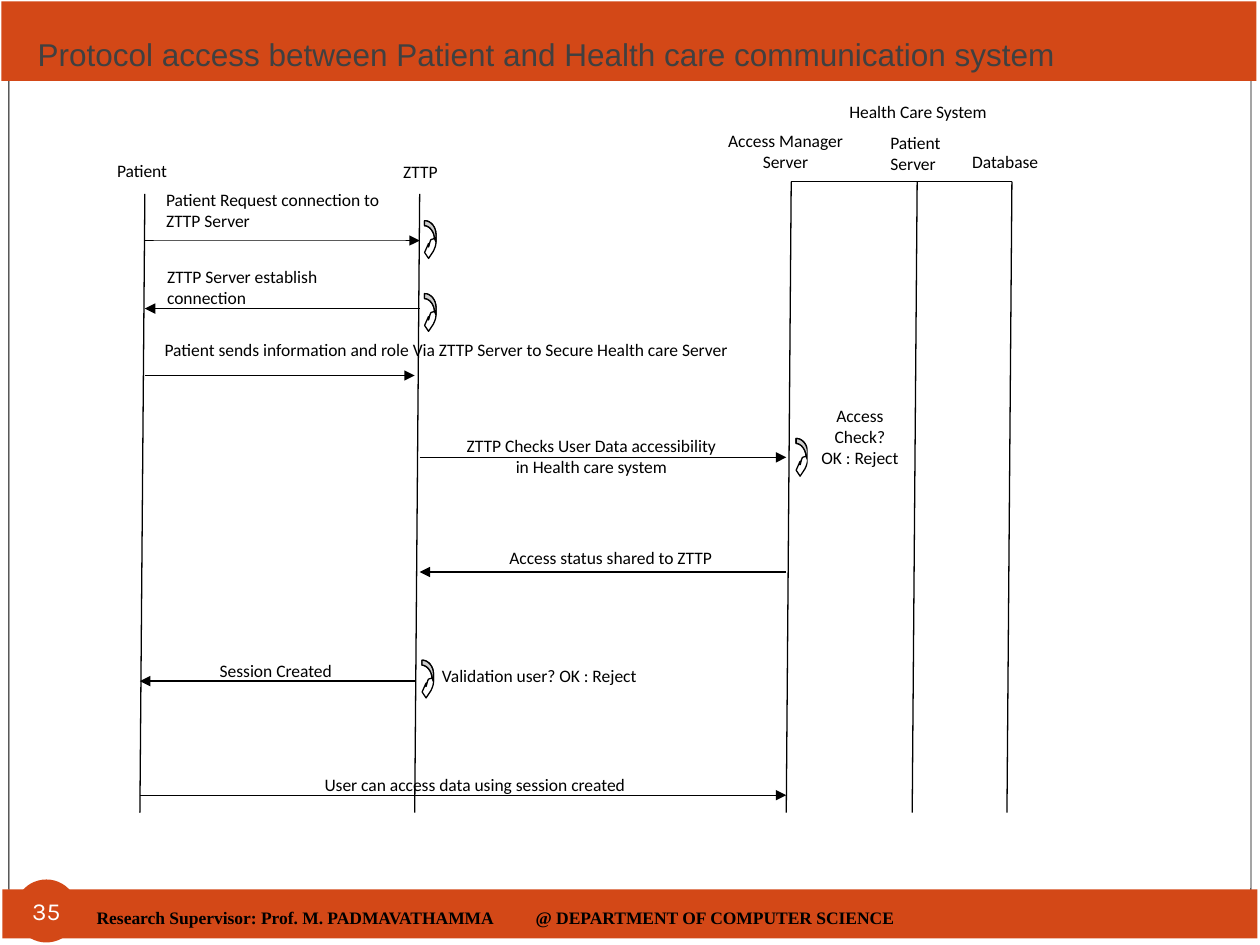
import pptx
import pptx.dml.color
import pptx.enum.shapes
import pptx.enum.text
import pptx.util
from lxml import etree
from pptx.oxml.ns import qn

Cm, Pt = pptx.util.Cm, pptx.util.Pt
RGBColor = pptx.dml.color.RGBColor
SHAPE = pptx.enum.shapes.MSO_SHAPE
ALIGN = pptx.enum.text.PP_ALIGN
ANCHOR = pptx.enum.text.MSO_ANCHOR

ORANGE = RGBColor(0xD3, 0x48, 0x17)
WHITE = RGBColor(0xFF, 0xFF, 0xFF)
BLACK = RGBColor(0x00, 0x00, 0x00)
TITLE_GREY = RGBColor(0x40, 0x40, 0x40)
SHADE_GREY = RGBColor(0xCD, 0xCD, 0xCD)

TITLE = "Protocol access between Patient and Health care communication system"
FOOTER = "Research Supervisor: Prof. M. PADMAVATHAMMA\t@ DEPARTMENT OF COMPUTER SCIENCE"
FOOTER_TAB = 8.85

BACK_CAPTIONS = [
    ("User can access data using session created", (3.45, 15.47, 12.24, 0.74), ALIGN.CENTER),
    ("Session Created", (3.12, 13.18, 4.88, 0.74), ALIGN.CENTER),
    ("Validation user? OK : Reject", (8.43, 13.28, 4.88, 0.74), ALIGN.CENTER),
    ("Access status shared to ZTTP", (9.53, 10.9, 5.56, 0.79), ALIGN.CENTER),
    ("ZTTP Checks User Data accessibility in Health care system", (9.14, 8.64, 5.56, 1.19), ALIGN.CENTER),
    ("Patient sends information and role Via ZTTP Server to Secure Health care Server",
     (3.07, 6.71, 12.24, 0.74), ALIGN.LEFT),
]
FRONT_CAPTIONS = [
    ("Patient Request connection to ZTTP Server", (3.1, 3.68, 5.08, 1.17), ALIGN.LEFT),
    ("ZTTP Server establish connection", (3.12, 5.23, 5.08, 0.69), ALIGN.LEFT),
    ("Access Check?\vOK : Reject", (16.28, 8.03, 2.11, 2.46), ALIGN.CENTER),
]
ACTORS = [
    ("Patient", (2.11, 3.1, 1.91, 0.58), ALIGN.LEFT),
    ("ZTTP", (7.52, 3.12, 1.91, 0.58), ALIGN.CENTER),
    ("Health Care System", (15.85, 1.91, 5.31, 0.74), ALIGN.CENTER),
    ("Access Manager Server", (14.4, 2.49, 2.87, 1.17), ALIGN.CENTER),
    ("Patient Server", (17.7, 2.54, 1.65, 1.17), ALIGN.LEFT),
    ("Database", (19.35, 2.92, 1.91, 0.58), ALIGN.LEFT),
]

SYSTEM_TOP, LIFELINE_BOTTOM, LIFELINE_DRIFT = 3.66, 16.38, 0.1
LIFELINES = [(2.92, 3.91), (8.46, 3.91), (15.95, SYSTEM_TOP), (18.49, SYSTEM_TOP), (20.4, SYSTEM_TOP)]
MESSAGES = [
    (2.92, 8.46, 4.85),
    (8.46, 2.92, 6.22),
    (2.92, 8.36, 7.57),
    (8.46, 15.85, 9.22),
    (15.85, 8.46, 11.53),
    (8.36, 2.82, 13.73),
    (2.82, 15.85, 16.03),
]

SELF_CALLS = [(8.56, 4.45), (8.56, 5.92), (16.05, 8.84), (8.51, 13.31)]
OUTER_ARC = [(0, 0), (0.13, 0), (0.23, 0.13), (0.23, 0.28)]
LOWER_ARC = [(0.23, 0.43), (0.23, 0.51), (0.2, 0.56), (0.18, 0.61)]
ARROW_TIP = [(0.08, 0.76), (0, 0.64), (0.08, 0.46), (0.08, 0.53)]
TAIL_ARC = [(0.08, 0.53), (0.1, 0.48), (0.1, 0.43), (0.13, 0.38)]
INNER_ARC = [(0.2, 0.36), (0.2, 0.23), (0.1, 0.1), (0, 0.1)]

deck = pptx.Presentation()
deck.slide_width, deck.slide_height = Cm(25.4), Cm(19.05)
slide = deck.slides.add_slide(deck.slide_layouts[6])
shapes = slide.shapes


def paint(shape, fill, line=None, width=0.75):
    shape.shadow.inherit = False
    shape.fill.solid()
    shape.fill.fore_color.rgb = fill
    if line is None:
        shape.line.fill.background()
    else:
        shape.line.color.rgb = line
        shape.line.width = Pt(width)
    return shape


def add_block(kind, box, fill, line=None, width=0.75):
    return paint(shapes.add_shape(kind, *map(Cm, box)), fill, line, width)


def write(shape, text, font="Calibri", size=10, color=BLACK, align=ALIGN.LEFT,
          anchor=ANCHOR.TOP, bold=False, tab=None):
    frame = shape.text_frame
    frame.word_wrap = True
    frame.vertical_anchor = anchor
    frame.text = text
    paragraph = frame.paragraphs[0]
    paragraph.alignment = align
    if tab:
        stops = etree.SubElement(paragraph._p.get_or_add_pPr(), qn("a:tabLst"))
        etree.SubElement(stops, qn("a:tab"), pos=str(Cm(tab)), algn="l")
    for run in paragraph.runs:
        run.font.name = font
        run.font.size = Pt(size)
        run.font.bold = bold
        run.font.color.rgb = color
    return frame


def add_text(box, text, **style):
    return write(shapes.add_textbox(*map(Cm, box)), text, **style)


def add_captions(captions):
    for text, box, align in captions:
        write(add_block(SHAPE.RECTANGLE, box, WHITE), text, align=align)


def add_line(x1, y1, x2, y2, arrow=False):
    line = shapes.add_connector(pptx.enum.shapes.MSO_CONNECTOR.STRAIGHT, *map(Cm, (x1, y1, x2, y2)))
    line.line.color.rgb = BLACK
    line.line.width = Pt(0.75)
    if arrow:
        etree.SubElement(line.line._get_or_add_ln(), qn("a:tailEnd"), type="triangle")
    etree.SubElement(line._element.spPr, qn("a:effectLst"))


def curve(arc, steps=8):
    for step in range(steps + 1):
        t = step / steps
        weights = ((1 - t) ** 3, 3 * t * (1 - t) ** 2, 3 * t * t * (1 - t), t ** 3)
        yield tuple(sum(w * point[axis] for w, point in zip(weights, arc)) for axis in (0, 1))


def add_outline(left, top, points, fill):
    corners = [(Cm(left + x), Cm(top + y)) for x, y in points]
    builder = shapes.build_freeform(*corners[0])
    builder.add_line_segments(corners[1:], close=True)
    paint(builder.convert_to_shape(), fill, BLACK)


frame_border = add_block(SHAPE.ROUNDED_RECTANGLE, (0.18, 0.2, 25.04, 18.59), WHITE, BLACK, 0.5)
frame_border.adjustments[0] = 0.05
add_block(SHAPE.RECTANGLE, (0.03, 0.03, 25.3, 1.6), ORANGE)
add_block(SHAPE.RECTANGLE, (0.05, 17.93, 25.3, 0.99), ORANGE)
title = add_text((0.51, 0.15, 21.59, 1.57), TITLE, font="Arial", size=18, color=TITLE_GREY,
                 anchor=ANCHOR.BOTTOM)
title.margin_bottom = Cm(0.25)

page_number = write(add_block(SHAPE.OVAL, (0.3, 17.73, 1.27, 1.27), ORANGE), "35", font="Karla",
                    size=14, color=WHITE, align=ALIGN.CENTER, anchor=ANCHOR.MIDDLE)
page_number.word_wrap = False
page_number.margin_left = page_number.margin_right = 0
page_number.margin_top = page_number.margin_bottom = 0
add_text((1.7, 17.86, 21.01, 1.27), FOOTER, font="Times New Roman", bold=True,
         anchor=ANCHOR.MIDDLE, tab=FOOTER_TAB)

add_captions(BACK_CAPTIONS)
for x, top in LIFELINES:
    add_line(x, top, x - LIFELINE_DRIFT, LIFELINE_BOTTOM)
for text, box, align in ACTORS:
    add_text(box, text, align=align)
for start, end, y in MESSAGES:
    add_line(start, y, end, y, arrow=True)
add_captions(FRONT_CAPTIONS[:2])

loop_body = [*curve(OUTER_ARC), *curve(LOWER_ARC), *ARROW_TIP, *curve(TAIL_ARC), *curve(INNER_ARC)]
loop_shade = [*curve(OUTER_ARC), LOWER_ARC[0], *curve(INNER_ARC)]
for left, top in SELF_CALLS:
    add_outline(left, top, loop_body, WHITE)
    add_outline(left, top, loop_shade, SHADE_GREY)

add_line(LIFELINES[2][0], SYSTEM_TOP, LIFELINES[-1][0], SYSTEM_TOP)
add_captions(FRONT_CAPTIONS[2:])

deck.save("out.pptx")
